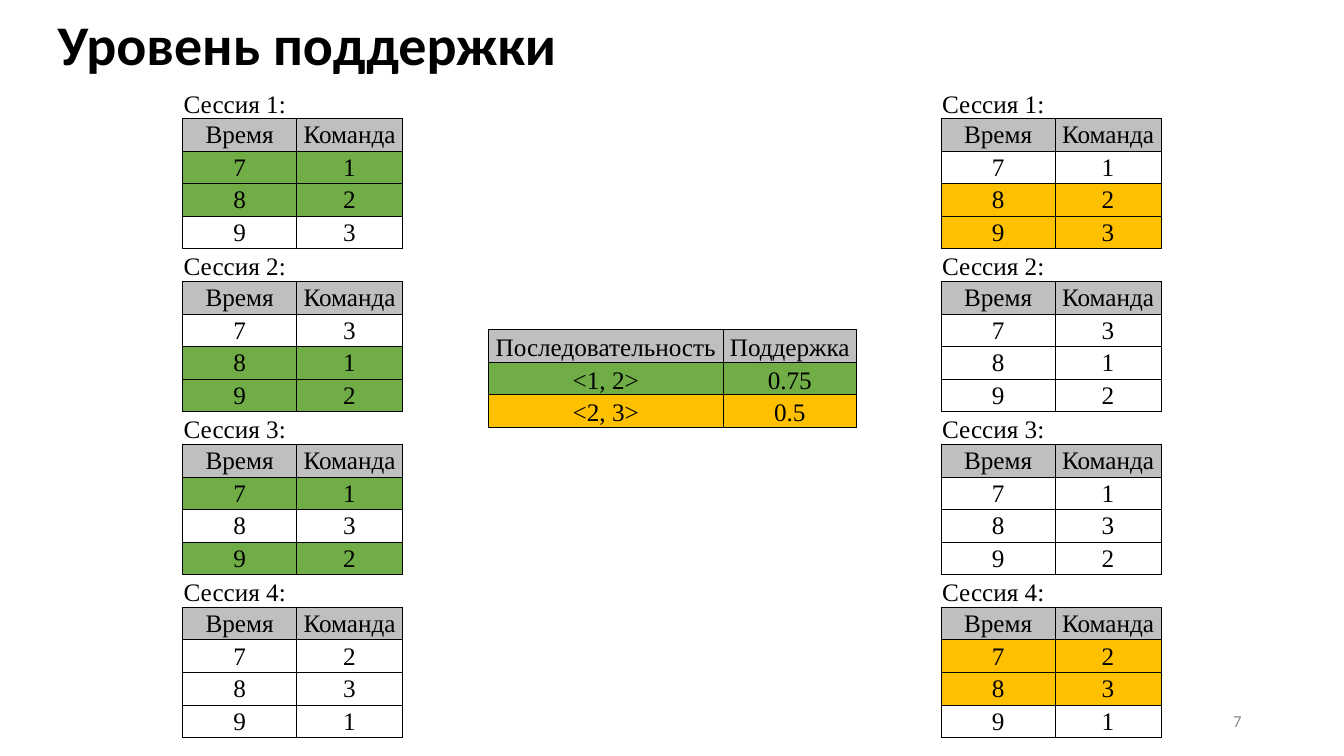
from dataclasses import dataclass
from lxml import etree
from pptx import Presentation, util as u
from pptx.dml.color import RGBColor
from pptx.enum import text
from pptx.oxml import ns

Pt = u.Pt


@dataclass(frozen=True)
class Theme:
    head: str = "Calibri"
    body: str = "Times New Roman"
    black: str = "000000"
    gray: str = "BFBFBF"
    mute: str = "8C8C8C"
    green: str = "70AD47"
    gold: str = "FFC000"
    title: int = 40
    cell: int = 18
    note: int = 12
    line: float = 0.5
    row: float = 23.3


T = Theme()
MID, LOW = text.MSO_ANCHOR.MIDDLE, text.MSO_ANCHOR.BOTTOM
LEFT, MEAN, RIGHT = text.PP_ALIGN.LEFT, text.PP_ALIGN.CENTER, text.PP_ALIGN.RIGHT
PLAIN = "{2D5ABB26-0587-4C30-8999-92F81FD0307C}"
HEAD = ("Время", "Команда")
LOGS = ((1, 2, 3), (3, 1, 2), (1, 3, 2), (2, 3, 1))
HITS = {
    T.green: ({7, 8}, {8, 9}, {7, 9}, set()),
    T.gold: ({8, 9}, set(), set(), {7, 8}),
}


def apply(item, props):
    for key, val in props.items():
        setattr(item, key, val)


def write(frame, words, size, face, tint, align, bold=False):
    frame.text = words
    para = frame.paragraphs[0]
    para.alignment = align
    font = para.runs[0].font
    apply(font, dict(size=Pt(size), name=face, bold=bold))
    font.color.rgb = RGBColor.from_string(tint)
    return para


def edge(cell, sides):
    props = cell._tc.get_or_add_tcPr()
    for spot, side in enumerate(sides):
        line = etree.Element(ns.qn("a:ln" + side), w=str(Pt(T.line)))
        fill = etree.SubElement(line, ns.qn("a:solidFill"))
        etree.SubElement(fill, ns.qn("a:srgbClr"), val=T.black)
        props.insert(spot, line)


def grid(slide, box, cols, rows):
    left, top = box
    high = T.row * len(rows)
    frame = slide.shapes.add_table(len(rows), len(cols), Pt(left), Pt(top), Pt(sum(cols)), Pt(high))
    table = frame.table
    apply(table, dict(first_row=False, horz_banding=False))
    frame._element.find(".//" + ns.qn("a:tableStyleId")).text = PLAIN
    for col, wide in zip(table.columns, cols):
        col.width = Pt(wide)
    for num, (words, fill, align, anchor, sides) in enumerate(rows):
        table.rows[num].height = Pt(T.row)
        for cell, word in zip(table.rows[num].cells, words):
            apply(cell, dict(margin_left=Pt(0.7), margin_right=Pt(0.7), margin_top=Pt(0.7),
                             margin_bottom=0, vertical_anchor=anchor))
            if word:
                write(cell.text_frame, word, T.cell, T.body, T.black, align)
            if fill:
                cell.fill.solid()
                cell.fill.fore_color.rgb = RGBColor.from_string(fill)
            else:
                cell.fill.background()
            edge(cell, sides)


def logs(slide, box, tint):
    rows = []
    for num, (log, hits) in enumerate(zip(LOGS, HITS[tint]), 1):
        rows.append(((f"Сессия {num}:", ""), None, LEFT, LOW, "TB" if num > 1 else "B"))
        rows.append((HEAD, T.gray, MEAN, MID, "LRTB"))
        for time, code in enumerate(log, 7):
            fill = tint if time in hits else None
            rows.append(((str(time), str(code)), fill, MEAN, MID, "LRTB"))
    grid(slide, box, (81.4, 75.6), rows)


def score(slide, box):
    data = (
        (("Последовательность", "Поддержка"), T.gray),
        (("<1, 2>", "0.75"), T.green),
        (("<2, 3>", "0.5"), T.gold),
    )
    grid(slide, box, (168, 95), [(words, fill, MEAN, LOW, "LRTB") for words, fill in data])


def place(shape, box):
    apply(shape, dict(zip(("left", "top", "width", "height"), map(Pt, box))))


def title(slide, box):
    shape = slide.shapes.title
    place(shape, box)
    frame = shape.text_frame
    para = write(frame, "Уровень поддержки", T.title, T.head, T.black, LEFT, True)
    para.line_spacing = 0.9
    apply(frame, dict(vertical_anchor=MID, word_wrap=True))


def page(slide, box):
    frame = slide.shapes.add_textbox(*map(Pt, box)).text_frame
    write(frame, "7", T.note, T.head, T.mute, RIGHT)
    apply(frame, dict(vertical_anchor=MID, word_wrap=True))


def main():
    deck = Presentation()
    apply(deck, dict(slide_width=Pt(960), slide_height=Pt(540)))
    slide = deck.slides.add_slide(deck.slide_layouts[5])
    title(slide, (34, 0, 828, 67.5))
    page(slide, (678, 500.5, 216, 28.75))
    logs(slide, (130.5, 61.3), T.green)
    logs(slide, (672.3, 61.3), T.gold)
    score(slide, (348.7, 235.4))
    deck.save("out.pptx")


if __name__ == "__main__":
    main()
